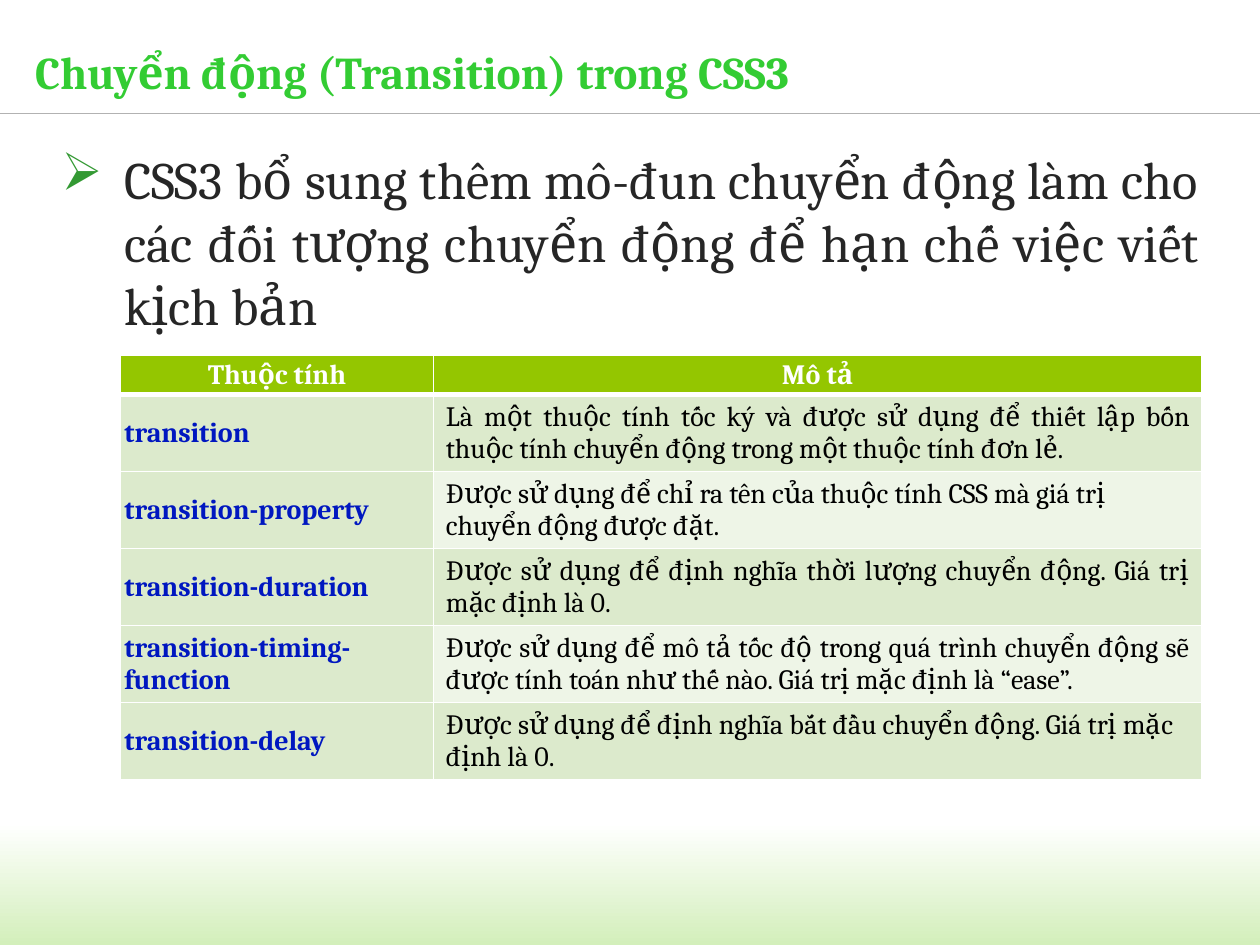
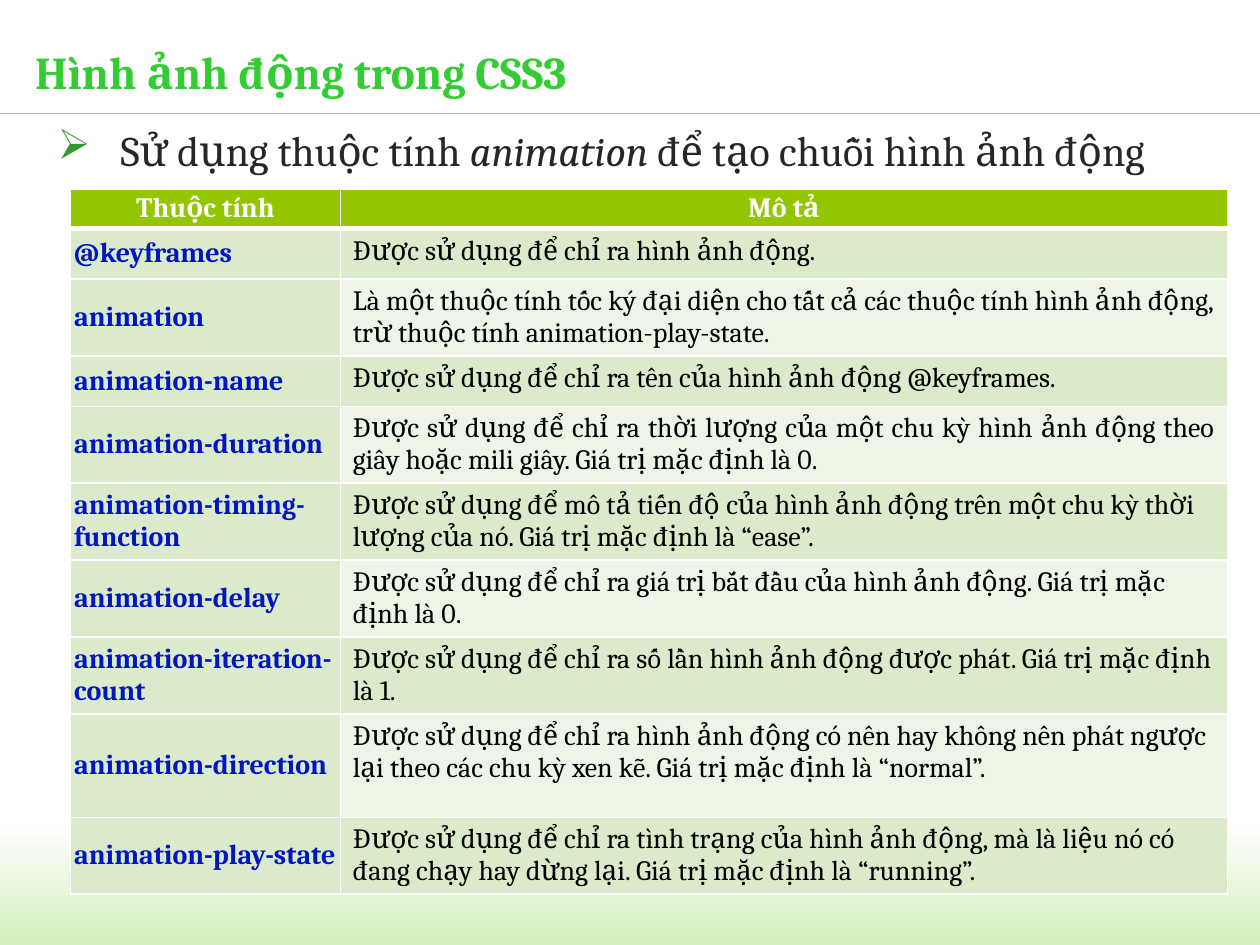
from lxml import etree
from pptx import Presentation
from pptx.dml.color import RGBColor
from pptx.enum.shapes import MSO_CONNECTOR, MSO_SHAPE
from pptx.enum.text import MSO_ANCHOR as Anchor, MSO_AUTO_SIZE, PP_ALIGN as Align
from pptx.oxml import parse_xml
from pptx.oxml.ns import nsdecls, qn
from pptx.util import Pt

SLIDE_W, SLIDE_H = 720, 540
TITLE_BOX = (20, 18, 675, 46)
BAND_BOX = (-2, 470, 722, 70)
RULE_Y = 65
BULLET_INDENT = 36

GREEN, BULLET_GREEN, RULE_GREY = "33CC33", "339933", "B2B2B2"
HEADER_FILL, DARK_ROW, LIGHT_ROW = "94C600", "DCEACC", "EEF5E7"
INK, WHITE = "262626", "FFFFFF"

TITLE = {"size": Pt(26), "bold": True, "color": GREEN}
HEADER = {"size": Pt(16), "bold": True, "color": WHITE}
PROPERTY = {"size": Pt(16), "bold": True, "color": "0017C0"}
DESCRIPTION = {"size": Pt(16), "bold": False, "color": "000000"}

HEADER_H, ONE_LINE, TWO_LINES, TALL = 22, 28.8, 43.8, 59
TIGHT, ROOMY = (2.1, 2.1), (7.2, 3.6)  # cell insets: sides, top and bottom


def color(hex_string):
    return RGBColor.from_string(hex_string)


def points(box):
    return [Pt(value) for value in box]


def set_values(target, values):
    for name, value in values.items():
        setattr(target, name, value)


def add_text(paragraph, text, style):
    run = paragraph.add_run()
    run.text = text
    font_values = {"name": "Cambria", **style}
    run.font.color.rgb = color(font_values.pop("color"))
    set_values(run.font, font_values)


def clear_frame(frame, anchor):
    set_values(frame, {
        "margin_left": 0, "margin_right": 0, "margin_top": 0, "margin_bottom": 0,
        "word_wrap": True, "auto_size": MSO_AUTO_SIZE.NONE, "vertical_anchor": anchor})


def add_backdrop(slide):
    # Fading band at the foot
    band = slide.shapes.add_shape(MSO_SHAPE.RECTANGLE, *points(BAND_BOX))
    band.shadow.inherit = False
    band.line.fill.background()
    band.fill.gradient()
    band.fill.gradient_angle = 270
    for stop, (position, shade) in zip(band.fill.gradient_stops, [(0, WHITE), (1, "D3EFBB")]):
        stop.position = position
        stop.color.rgb = color(shade)
    # Rule under the title
    rule = slide.shapes.add_connector(
        MSO_CONNECTOR.STRAIGHT, *points((0, RULE_Y, SLIDE_W, RULE_Y)))
    rule.line.color.rgb = color(RULE_GREY)
    rule.line.width = Pt(0.75)
    etree.SubElement(rule._element.spPr, qn("a:effectLst"))


def set_title(slide, text):
    title = slide.shapes.title
    set_values(title, dict(zip(("left", "top", "width", "height"), points(TITLE_BOX))))
    clear_frame(title.text_frame, Anchor.MIDDLE)
    paragraph = title.text_frame.paragraphs[0]
    paragraph.alignment = Align.LEFT
    add_text(paragraph, text, TITLE)


def add_statement(slide, box, size, parts):
    """Bulleted sentence; parts are (text, italic) pairs."""
    frame = slide.shapes.add_textbox(*points(box)).text_frame
    clear_frame(frame, Anchor.TOP)
    paragraph = frame.paragraphs[0]
    paragraph.alignment = Align.JUSTIFY
    properties = paragraph._p.get_or_add_pPr()
    properties.set("marL", str(Pt(BULLET_INDENT)))
    properties.set("indent", str(-Pt(BULLET_INDENT)))
    properties.append(parse_xml(
        f'<a:buClr {nsdecls("a")}><a:srgbClr val="{BULLET_GREEN}"/></a:buClr>'))
    properties.append(parse_xml(f'<a:buChar {nsdecls("a")} char="➢"/>'))
    for text, italic in parts:
        add_text(paragraph, text, {"size": Pt(size), "italic": italic, "color": INK})


def add_borders(cell, top, bottom):
    properties = cell._tc.get_or_add_tcPr()
    for side, width in {"L": 1, "R": 1, "T": top, "B": bottom}.items():
        properties.append(parse_xml(
            f'<a:ln{side} {nsdecls("a")} w="{Pt(width)}"><a:solidFill>'
            f'<a:srgbClr val="{WHITE}"/></a:solidFill></a:ln{side}>'))


def fill_cell(cell, text, style, shade, insets, anchor, align, borders):
    add_borders(cell, *borders)
    cell.fill.solid()
    cell.fill.fore_color.rgb = color(shade)
    side, end = points(insets)
    set_values(cell, {"margin_left": side, "margin_right": side, "margin_top": end,
                      "margin_bottom": end, "vertical_anchor": anchor})
    paragraph = cell.text_frame.paragraphs[0]
    paragraph.alignment = align
    add_text(paragraph, text, style)


def add_property_table(slide, left, top, widths, entries):
    """Entries are (property, description, row height, description alignment)."""
    heights = [HEADER_H] + [height for _, _, height, _ in entries]
    table = slide.shapes.add_table(
        len(heights), 2, *points((left, top, sum(widths), sum(heights)))).table
    for column, width in zip(table.columns, widths):
        column.width = Pt(width)
    for row, height in zip(table.rows, heights):
        row.height = Pt(height)
    # Heading row
    for column, heading in enumerate(("Thuộc tính", "Mô tả")):
        fill_cell(table.cell(0, column), heading, HEADER, HEADER_FILL, TIGHT,
                  Anchor.TOP, Align.CENTER, (1, 3))
    # Property rows, descriptions in alternating shades
    for row, (name, description, _, align) in enumerate(entries, 1):
        borders = (3 if row == 1 else 1, 1)
        fill_cell(table.cell(row, 0), name, PROPERTY, DARK_ROW, TIGHT,
                  Anchor.MIDDLE, Align.LEFT, borders)
        fill_cell(table.cell(row, 1), description, DESCRIPTION,
                  DARK_ROW if row % 2 else LIGHT_ROW, ROOMY, Anchor.TOP, align, borders)


def add_property_slide(deck, title, statement, table):
    slide = deck.slides.add_slide(deck.slide_layouts[5])
    add_backdrop(slide)
    set_title(slide, title)
    add_statement(slide, **statement)
    add_property_table(slide, **table)


TRANSITIONS = [
    ("transition", "Là một thuộc tính tốc ký và được sử dụng để thiết lập bốn thuộc tính "
     "chuyển động trong một thuộc tính đơn lẻ.", TWO_LINES, Align.JUSTIFY),
    ("transition-property", "Được sử dụng để chỉ ra tên của thuộc tính CSS mà giá trị "
     "chuyển động được đặt.", TWO_LINES, Align.LEFT),
    ("transition-duration", "Được sử dụng để định nghĩa thời lượng chuyển động. Giá trị "
     "mặc định là 0.", TWO_LINES, Align.JUSTIFY),
    ("transition-timing-function", "Được sử dụng để mô tả tốc độ trong quá trình chuyển động "
     "sẽ được tính toán như thế nào. Giá trị mặc định là “ease”.", TWO_LINES, Align.JUSTIFY),
    ("transition-delay", "Được sử dụng để định nghĩa bắt đầu chuyển động. Giá trị mặc "
     "định là 0.", TWO_LINES, Align.LEFT),
]

ANIMATIONS = [
    ("@keyframes", "Được sử dụng để chỉ ra hình ảnh động.", ONE_LINE, Align.JUSTIFY),
    ("animation", "Là một thuộc tính tốc ký đại diện cho tất cả các thuộc tính hình ảnh "
     "động, trừ thuộc tính animation-play-state.", TWO_LINES, Align.LEFT),
    ("animation-name", "Được sử dụng để chỉ ra tên của hình ảnh động @keyframes.",
     ONE_LINE, Align.JUSTIFY),
    ("animation-duration", "Được sử dụng để chỉ ra thời lượng của một chu kỳ hình ảnh động "
     "theo giây hoặc mili giây. Giá trị mặc định là 0.", TWO_LINES, Align.JUSTIFY),
    ("animation-timing-function", "Được sử dụng để mô tả tiến độ của hình ảnh động trên một "
     "chu kỳ thời lượng của nó. Giá trị mặc định là “ease”.", TWO_LINES, Align.LEFT),
    ("animation-delay", "Được sử dụng để chỉ ra giá trị bắt đầu của hình ảnh động. Giá trị "
     "mặc định là 0.", TWO_LINES, Align.LEFT),
    ("animation-iteration-count", "Được sử dụng để chỉ ra số lần hình ảnh động được phát. "
     "Giá trị mặc định là 1.", TWO_LINES, Align.LEFT),
    ("animation-direction", "Được sử dụng để chỉ ra hình ảnh động có nên hay không nên phát "
     "ngược lại theo các chu kỳ xen kẽ. Giá trị mặc định là “normal”.", TALL, Align.LEFT),
    ("animation-play-state", "Được sử dụng để chỉ ra tình trạng của hình ảnh động, mà là liệu "
     "nó có đang chạy hay dừng lại. Giá trị mặc định là “running”.", TWO_LINES, Align.LEFT),
]


def main():
    deck = Presentation()
    deck.slide_width, deck.slide_height = points((SLIDE_W, SLIDE_H))
    add_property_slide(
        deck, "Chuyển động (Transition) trong CSS3",
        {"box": (35, 84, 650, 116), "size": 30, "parts": [
            ("CSS3 bổ sung thêm mô-đun chuyển động làm cho các đối tượng chuyển động "
             "để hạn chế việc viết kịch bản", False)]},
        {"left": 69, "top": 203, "widths": (178.6, 439.4), "entries": TRANSITIONS})
    add_property_slide(
        deck, "Hình ảnh động trong CSS3",
        {"box": (33, 71, 650, 41), "size": 24, "parts": [
            ("Sử dụng thuộc tính ", False), ("animation ", True),
            ("để tạo chuỗi hình ảnh động", False)]},
        {"left": 40.3, "top": 108, "widths": (154.2, 507), "entries": ANIMATIONS})
    deck.save("out.pptx")


if __name__ == "__main__":
    main()
